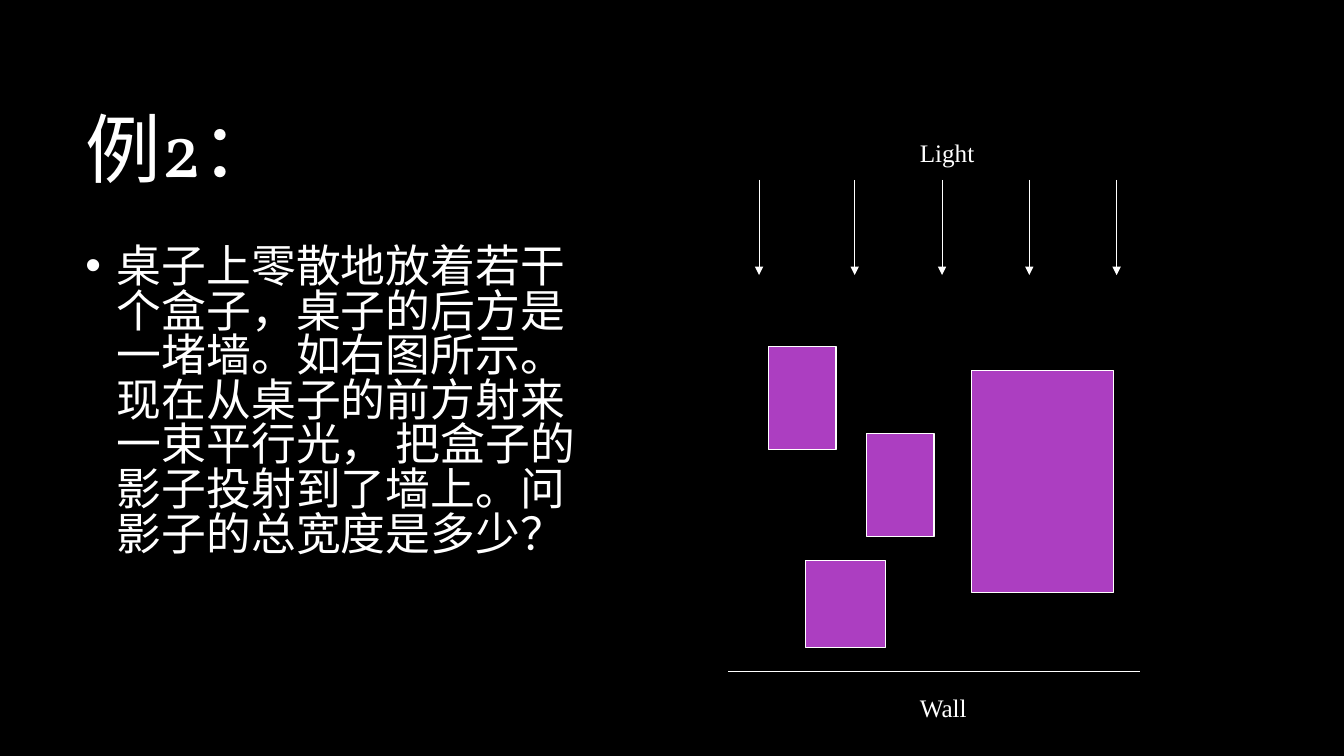
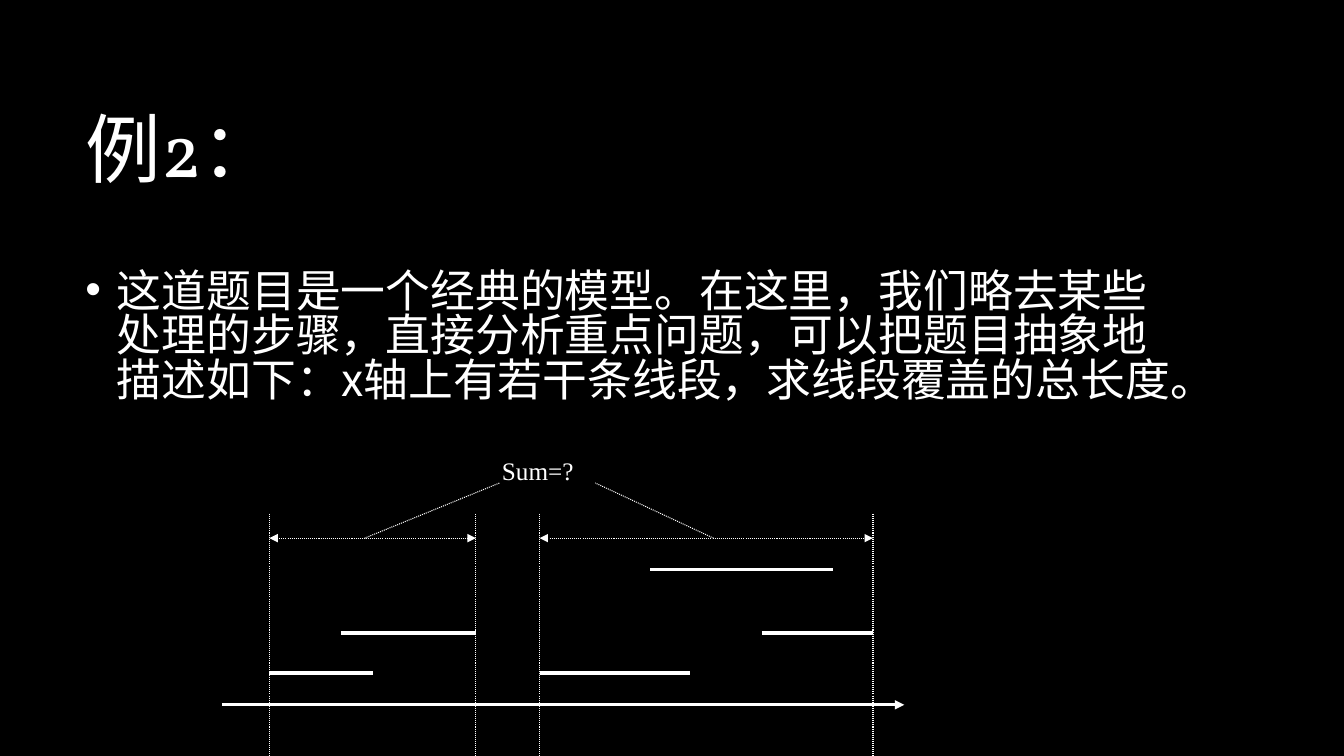
from dataclasses import dataclass

from lxml.etree import SubElement
from pptx import Presentation
from pptx.dml.color import RGBColor
from pptx.enum.dml import MSO_LINE_DASH_STYLE as Dash
from pptx.enum.shapes import MSO_CONNECTOR as Connector, MSO_SHAPE as Shape
from pptx.enum.text import MSO_ANCHOR as Anchor, MSO_AUTO_SIZE as AutoSize, PP_ALIGN as Align
from pptx.oxml.ns import qn
from pptx.util import Cm, Pt


@dataclass(frozen=True)
class Theme:
    background: RGBColor = RGBColor(0x00, 0x00, 0x00)
    foreground: RGBColor = RGBColor(0xFF, 0xFF, 0xFF)
    box: RGBColor = RGBColor(0xAC, 0x3E, 0xC1)
    title_font: str = "Vollkorn"
    body_font: str = "Noto Sans CJK SC"
    label_font: str = "Times New Roman"
    title_size: int = 54
    body_size: int = 32
    label_size: int = 18
    thin: float = 0.75
    thick: float = 2.25


class Deck:
    def __init__(self, theme):
        self.theme = theme
        self.presentation = Presentation()
        self.presentation.slide_width = Cm(33.87)
        self.presentation.slide_height = Cm(19.05)
        fill = self.presentation.slide_master.background.fill
        fill.solid()
        fill.fore_color.rgb = theme.background
        self.slide = None

    def place(self, shape, left, top, width, height):
        shape.left, shape.top = Cm(left), Cm(top)
        shape.width, shape.height = Cm(width), Cm(height)

    def set_text(self, shape, text, font_name, size, anchor):
        frame = shape.text_frame
        frame.text = text
        frame.word_wrap = True
        frame.auto_size = AutoSize.NONE
        frame.vertical_anchor = anchor
        paragraph = frame.paragraphs[0]
        paragraph.alignment = Align.LEFT
        for run in paragraph.runs:
            run.font.name = font_name
            run.font.size = Pt(size)
            run.font.color.rgb = self.theme.foreground
            east_asian = SubElement(run.font._element, qn("a:ea"))
            east_asian.set("typeface", self.theme.body_font)
        return paragraph

    def add_slide(self, title):
        layout = self.presentation.slide_layouts[1]
        self.slide = self.presentation.slides.add_slide(layout)
        shape = self.slide.shapes.title
        self.place(shape, 1.9, 1.68, 28.14, 4.04)
        self.set_text(shape, title, self.theme.title_font, self.theme.title_size, Anchor.MIDDLE)

    def body(self, text, width, height, bottom_inset=0.13):
        shape = self.slide.placeholders[1]
        self.place(shape, 1.9, 5.94, width, height)
        paragraph = self.set_text(
            shape, text, self.theme.body_font, self.theme.body_size, Anchor.MIDDLE)
        shape.text_frame.margin_bottom = Cm(bottom_inset)
        paragraph.line_spacing = 0.83
        paragraph.space_before = Pt(0)
        paragraph.space_after = Pt(10)
        properties = paragraph._p.get_or_add_pPr()
        properties.set("marL", str(Cm(0.79)))
        properties.set("indent", str(-Cm(0.79)))
        color = SubElement(SubElement(properties, qn("a:buClr")), qn("a:srgbClr"))
        color.set("val", str(self.theme.foreground))
        SubElement(properties, qn("a:buFont")).set("typeface", "Arial")
        SubElement(properties, qn("a:buChar")).set("char", "•")

    def label(self, text, left, top, width):
        shape = self.slide.shapes.add_textbox(Cm(left), Cm(top), Cm(width), Cm(1.02))
        self.set_text(shape, text, self.theme.label_font, self.theme.label_size, Anchor.TOP)

    def box(self, left, top, width, height):
        shape = self.slide.shapes.add_shape(
            Shape.RECTANGLE, Cm(left), Cm(top), Cm(width), Cm(height))
        shape.shadow.inherit = False
        shape.fill.solid()
        shape.fill.fore_color.rgb = self.theme.box
        shape.line.color.rgb = self.theme.foreground
        shape.line.width = Pt(self.theme.thin)

    def line(self, start, end, weight, dotted=False, arrows=()):
        connector = self.slide.shapes.add_connector(
            Connector.STRAIGHT, *map(Cm, start), *map(Cm, end))
        connector.line.color.rgb = self.theme.foreground
        connector.line.width = Pt(weight)
        if dotted:
            connector.line.dash_style = Dash.ROUND_DOT
        for arrow in arrows:
            SubElement(connector.line._get_or_add_ln(), qn(f"a:{arrow}")).set("type", "triangle")
        SubElement(connector._element.spPr, qn("a:effectLst"))


theme = Theme()
deck = Deck(theme)
example_title = "例2："

deck.add_slide(example_title)
deck.body(
    "桌子上零散地放着若干个盒子，桌子的后方是一堵墙。如右图所示。"
    "现在从桌子的前方射来一束平行光， 把盒子的影子投射到了墙上。问影子的总宽度是多少？",
    13.7, 10.13, bottom_inset=1.83)
deck.line((18.34, 16.92), (28.73, 16.92), theme.thin)
for box in ((19.37, 8.73, 1.7, 2.6), (21.84, 10.92, 1.7, 2.6),
            (20.3, 14.12, 2.01, 2.2), (24.48, 9.33, 3.58, 5.6)):
    deck.box(*box)
for ray_x in (19.13, 21.54, 23.74, 25.94, 28.14):
    deck.line((ray_x, 4.53), (ray_x, 6.93), theme.thin, arrows=("tailEnd",))
deck.label("Wall", 22.93, 17.32, 2.01)
deck.label("Light", 22.93, 3.33, 2.59)

deck.add_slide(example_title)
deck.body(
    "这道题目是一个经典的模型。在这里，我们略去某些处理的步骤，直接分析重点问题，"
    "可以把题目抽象地描述如下：x轴上有若干条线段，求线段覆盖的总长度。",
    28.14, 5.18)
covered_spans = ((6.79, 11.99), (13.6, 22.0))
span_y = 13.56
for left, right in covered_spans:
    for edge in (left, right):
        deck.line((edge, 12.95), (edge, 19.56), theme.thin, dotted=True)
    deck.line((left, span_y), (right, span_y), theme.thin, dotted=True,
              arrows=("headEnd", "tailEnd"))
deck.line((5.59, 17.76), (22.79, 17.76), theme.thick, arrows=("tailEnd",))
for left, right, y in ((6.79, 9.39, 16.96), (8.59, 11.99, 15.95), (13.6, 17.39, 16.96),
                       (16.39, 21.0, 14.35), (19.2, 22.0, 15.95)):
    deck.line((left, y), (right, y), theme.thick)
deck.label("Sum=?", 12.4, 11.35, 2.59)
for span_x, label_x in ((9.19, 12.59), (17.98, 15.0)):
    deck.line((span_x, span_y), (label_x, 12.17), theme.thin, dotted=True)

deck.presentation.save("out.pptx")
